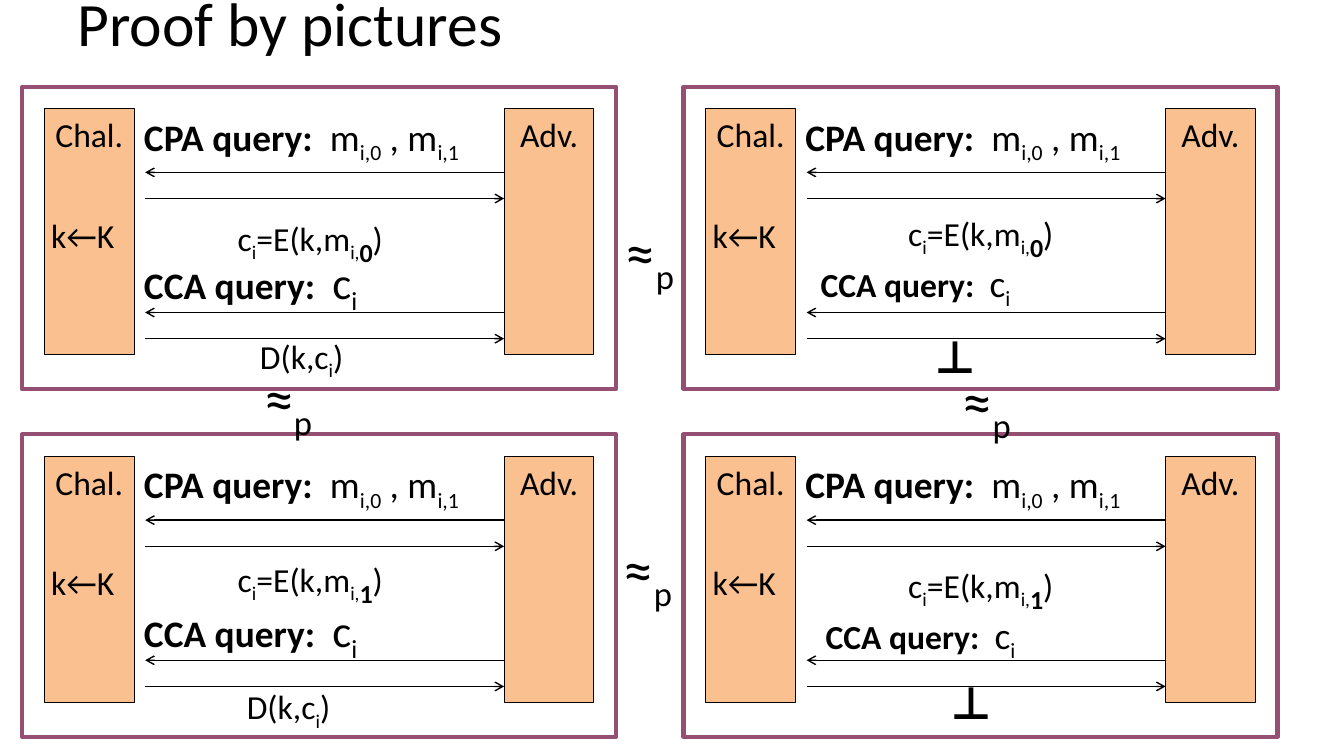
from lxml import etree
from pptx import Presentation
from pptx.dml.color import RGBColor
from pptx.enum.shapes import MSO_CONNECTOR, MSO_SHAPE
from pptx.enum.text import MSO_ANCHOR, MSO_AUTO_SIZE, PP_ALIGN
from pptx.oxml.ns import qn
from pptx.util import Inches, Pt

BLACK = RGBColor(0x00, 0x00, 0x00)
ORANGE = RGBColor(0xFA, 0xC0, 0x90)
PLUM = RGBColor(0x95, 0x4F, 0x72)
RECTANGLE = MSO_SHAPE.RECTANGLE
STRAIGHT = MSO_CONNECTOR.STRAIGHT
LEFT, CENTER = PP_ALIGN.LEFT, PP_ALIGN.CENTER
TOP, MIDDLE = MSO_ANCHOR.TOP, MSO_ANCHOR.MIDDLE
GROW, FIXED = MSO_AUTO_SIZE.SHAPE_TO_FIT_TEXT, MSO_AUTO_SIZE.NONE


def write(frame, paragraphs, align=LEFT, **frame_format):
    settings = {"word_wrap": False, "vertical_anchor": TOP, "auto_size": GROW}
    for name, value in {**settings, **frame_format}.items():
        setattr(frame, name, value)
    for index, (space_before, runs) in enumerate(paragraphs):
        paragraph = frame.paragraphs[0] if index == 0 else frame.add_paragraph()
        paragraph.alignment = align
        paragraph.space_before = Pt(space_before)
        for text, size, bold, subscript in runs:
            run = paragraph.add_run()
            run.text = text
            font_format = {"name": "Calibri", "size": Pt(size), "bold": bold}
            for name, value in font_format.items():
                setattr(run.font, name, value)
            run.font.color.rgb = BLACK
            if subscript:
                run._r.get_or_add_rPr().set("baseline", "-25000")


def add_label(left, top, width, height, paragraphs, **frame_format):
    box = slide.shapes.add_textbox(Inches(left), Inches(top), Inches(width), Inches(height))
    write(box.text_frame, paragraphs, **frame_format)


prs = Presentation()
prs.slide_width, prs.slide_height = Inches(13.33), Inches(7.5)
slide = prs.slides.add_slide(prs.slide_layouts[5])

title = slide.shapes.title
title_place = {"left": 0.67, "top": -0.36, "width": 12, "height": 1.25}
for side, inches in title_place.items():
    setattr(title, side, Inches(inches))
write(title.text_frame, [(0, [("Proof by pictures", 44, False, False)])],
      word_wrap=True, vertical_anchor=MIDDLE, auto_size=FIXED)
title.text_frame.paragraphs[0].line_spacing = 0.9

cpa_query = (16, [
    ("CPA query:  ", 26.7, True, False),
    ("m", 26.7, False, False),
    ("i,0", 26.7, False, True),
    (" , m", 26.7, False, False),
    ("i,1", 26.7, False, True),
])
bottom_symbol = [(0, [("⊥", 32, True, False)])]
decryption = [(0, [
    ("D(k,c", 24, False, False),
    ("i", 24, False, True),
    (")", 24, False, False),
])]

games = [
    (0.22, 0.86, "0", (2.26, 2), None, (2.48, 3.28)),
    (0.22, 4.31, "1", (2.26, 5.38), None, (2.35, 6.76)),
    (6.78, 0.86, "0", (8.91, 1.95), (8.04, 2.53), (9.17, 3.21)),
    (6.78, 4.31, "1", (8.91, 5.44), (8.09, 6.02), (9.33, 6.64)),
]

for x, y, bit, encryption_at, cca_at, answer_at in games:
    boxes = [
        (x, y, 5.89, 3, None, PLUM, 3, None),
        (x + 0.22, y + 0.22, 0.89, 2.44, ORANGE, BLACK, 0.75, "Chal."),
        (x + 4.78, y + 0.22, 0.89, 2.44, ORANGE, BLACK, 0.75, "Adv."),
    ]
    for left, top, width, height, fill, outline, weight, party in boxes:
        box = slide.shapes.add_shape(
            RECTANGLE, Inches(left), Inches(top), Inches(width), Inches(height))
        box.shadow.inherit = False
        box.line.color.rgb = outline
        box.line.width = Pt(weight)
        if party:
            box.fill.solid()
            box.fill.fore_color.rgb = fill
            write(box.text_frame, [(0, [(party, 24, False, False)])],
                  align=CENTER, auto_size=FIXED)
        else:
            box.fill.background()

    challenger_end, adversary_end = x + 1.22, x + 4.78
    for drop in (0.85, 2.24):
        messages = [
            (adversary_end, challenger_end, y + drop),
            (challenger_end, adversary_end, y + drop + 0.26),
        ]
        for start, end, level in messages:
            message = slide.shapes.add_connector(
                STRAIGHT, Inches(start), Inches(level), Inches(end), Inches(level))
            message.line.color.rgb = BLACK
            message.line.width = Pt(1)
            etree.SubElement(message.line._get_or_add_ln(), qn("a:tailEnd"), type="arrow")
            etree.SubElement(message._element.spPr, qn("a:effectLst"))

    add_label(x + 0.19, y + 1.22, 0.86, 0.5, [(0, [("k←K", 24, False, False)])])
    add_label(*encryption_at, 1.7, 0.5, [(0, [
        ("c", 24, False, False),
        ("i", 24, False, True),
        ("=E(k,m", 24, False, False),
        ("i,", 24, False, True),
        (bit, 32, True, True),
        (")", 24, False, False),
    ])])

    label_size, cipher_size = (24, 26.7) if cca_at else (26.7, 32)
    cca_runs = [
        ("CCA query:  ", label_size, True, False),
        ("c", cipher_size, False, False),
        ("i", cipher_size, False, True),
        (" ", label_size, False, False),
    ]
    if cca_at:
        add_label(x + 1.11, y + 0.22, 3.46, 0.55, [cpa_query])
        add_label(*cca_at, 2.18, 0.55, [(0, cca_runs)])
        add_label(*answer_at, 0.49, 0.64, bottom_symbol)
    else:
        add_label(x + 1.11, y + 0.22, 3.46, 1.99, [cpa_query, (64, cca_runs)])
        add_label(*answer_at, 1.04, 0.5, decryption)

for left, top in [(6.11, 2.08), (6.09, 5.23), (9.45, 3.56), (2.52, 3.53)]:
    add_label(left, top, 0.71, 0.82, [(0, [
        ("≈", 42.7, False, False),
        ("p", 42.7, False, True),
    ])])

prs.save("out.pptx")
